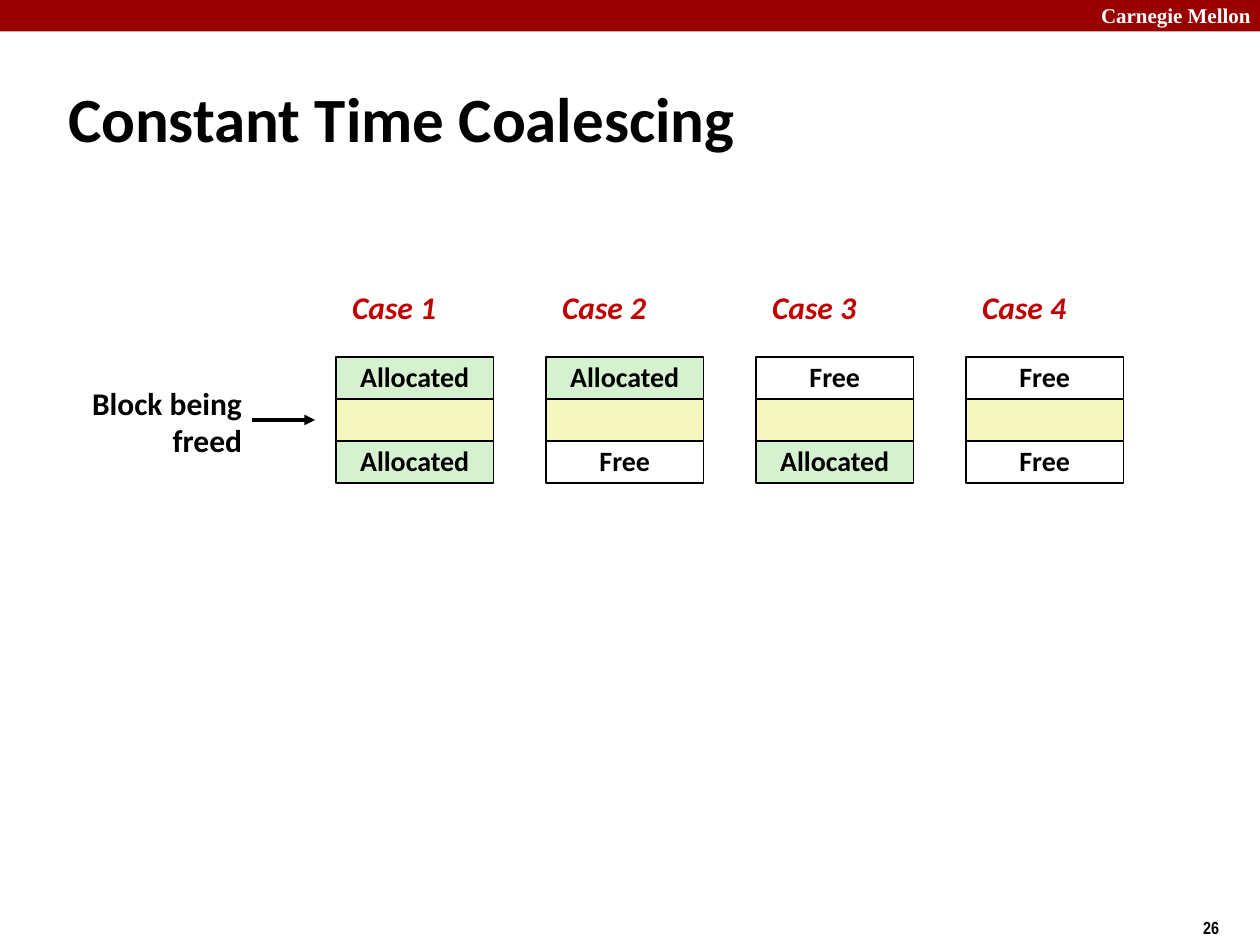
"""Build the Constant Time Coalescing slide with its four cases."""
from lxml import etree
from pptx import Presentation
from pptx.dml.color import RGBColor
from pptx.enum.shapes import MSO_CONNECTOR, MSO_SHAPE
from pptx.enum.text import MSO_ANCHOR, PP_ALIGN
from pptx.oxml.ns import qn
from pptx.util import Inches, Pt

RECT, STRAIGHT = MSO_SHAPE.RECTANGLE, MSO_CONNECTOR.STRAIGHT
TOP, MIDDLE = MSO_ANCHOR.TOP, MSO_ANCHOR.MIDDLE
LEFT, CENTER, RIGHT = PP_ALIGN.LEFT, PP_ALIGN.CENTER, PP_ALIGN.RIGHT

BLACK = RGBColor(0x00, 0x00, 0x00)
WHITE = RGBColor(0xFF, 0xFF, 0xFF)
BANNER = RGBColor(0x99, 0x00, 0x00)
RED = RGBColor(0xC0, 0x00, 0x00)
GREEN = RGBColor(0xD5, 0xF1, 0xCF)
YELLOW = RGBColor(0xF6, 0xF5, 0xBD)

COL, ROW = 5 / 3, 1 / 3
GRID_X, GRID_Y = 1.6 * COL, 8.5 * ROW
BLOCK_W = 0.75 * COL
FILLS = {"Allocated": GREEN, "Free": WHITE, "": YELLOW}
CASES = [
    ("Allocated", "Allocated"),
    ("Allocated", "Free"),
    ("Free", "Allocated"),
    ("Free", "Free"),
]

prs = Presentation()
prs.slide_width, prs.slide_height = Inches(10), Inches(7.5)
s = prs.slides.add_slide(prs.slide_layouts[6])


def write(sp, lines, size, color=BLACK, font="Calibri", align=LEFT,
          anchor=TOP, italic=False, spacing=0.98, inset=0.1):
    tf = sp.text_frame
    tf.word_wrap = True
    tf.vertical_anchor = anchor
    tf.margin_left = tf.margin_right = Inches(inset)
    tf.margin_top = tf.margin_bottom = Inches(0.05)
    for i, line in enumerate(lines):
        p = tf.add_paragraph() if i else tf.paragraphs[0]
        p.alignment, p.line_spacing = align, spacing
        r = p.add_run()
        r.text = line
        r.font.name, r.font.size = font, Pt(size)
        r.font.bold, r.font.italic = True, italic
        r.font.color.rgb = color


def add_rect(x, y, w, h, fill):
    sp = s.shapes.add_shape(RECT, Inches(x), Inches(y), Inches(w), Inches(h))
    sp.shadow.inherit = False
    sp.fill.solid()
    sp.fill.fore_color.rgb = fill
    sp.line.fill.background()
    return sp


add_rect(0, 0, 10, 0.25, BANNER)
sp = s.shapes.add_textbox(Inches(8.64), Inches(-0.03), Inches(1.43), Inches(0.3))
write(sp, ["Carnegie Mellon"], 12, WHITE, "Times New Roman", spacing=1)
sp = s.shapes.add_textbox(Inches(9.45), Inches(7.23), Inches(0.75), Inches(0.27))
write(sp, ["26"], 10, font="Arial Narrow", spacing=1)
sp = s.shapes.add_textbox(Inches(0.49), Inches(0.62), Inches(7.68), Inches(0.63))
write(sp, ["Constant Time Coalescing"], 36, anchor=MIDDLE, spacing=1, inset=0.05)

for col, (before, after) in enumerate(CASES):
    x = GRID_X + col * COL
    for row, state in enumerate((before, "", after)):
        sp = add_rect(x, GRID_Y + row * ROW, BLOCK_W, ROW, FILLS[state])
        sp.line.color.rgb = BLACK
        sp.line.width = Pt(1)
        if state:
            write(sp, [state], 16, align=CENTER, anchor=MIDDLE)
    sp = s.shapes.add_textbox(Inches(x + 0.03), Inches(2.25), Inches(1.13), Inches(0.4))
    write(sp, [f"Case {col + 1}"], 18, RED, italic=True)

sp = s.shapes.add_textbox(Inches(0.19), Inches(3.01), Inches(1.83), Inches(0.69))
write(sp, ["Block being", "freed"], 18, align=RIGHT)

arrow_y = Inches(GRID_Y + 1.5 * ROW)
arrow = s.shapes.add_connector(STRAIGHT, Inches(2), arrow_y, Inches(2.5), arrow_y)
arrow.line.color.rgb = BLACK
arrow.line.width = Pt(2)
etree.SubElement(arrow.line._get_or_add_ln(), qn("a:tailEnd"), type="triangle")
etree.SubElement(arrow._element.spPr, qn("a:effectLst"))

prs.save("out.pptx")
